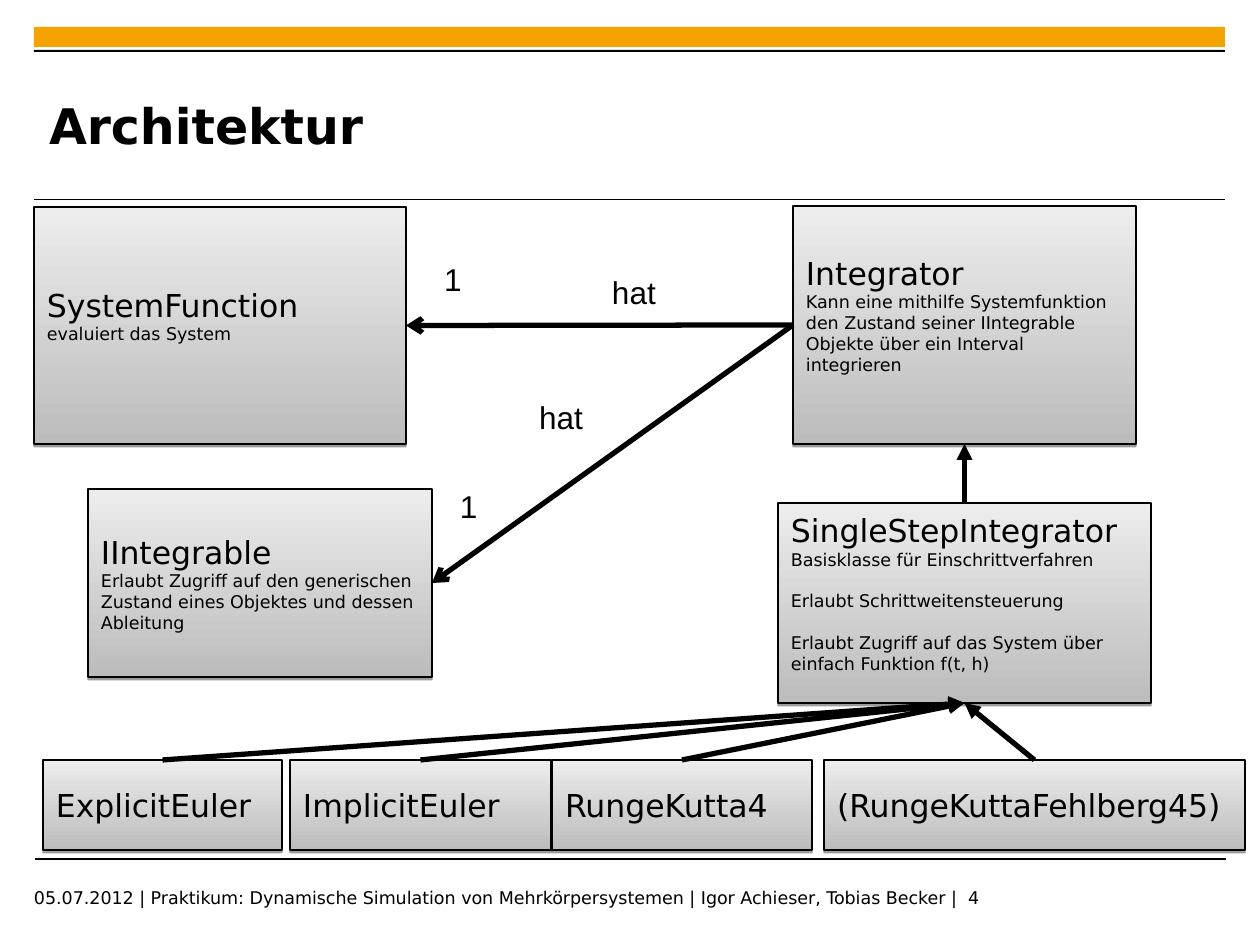
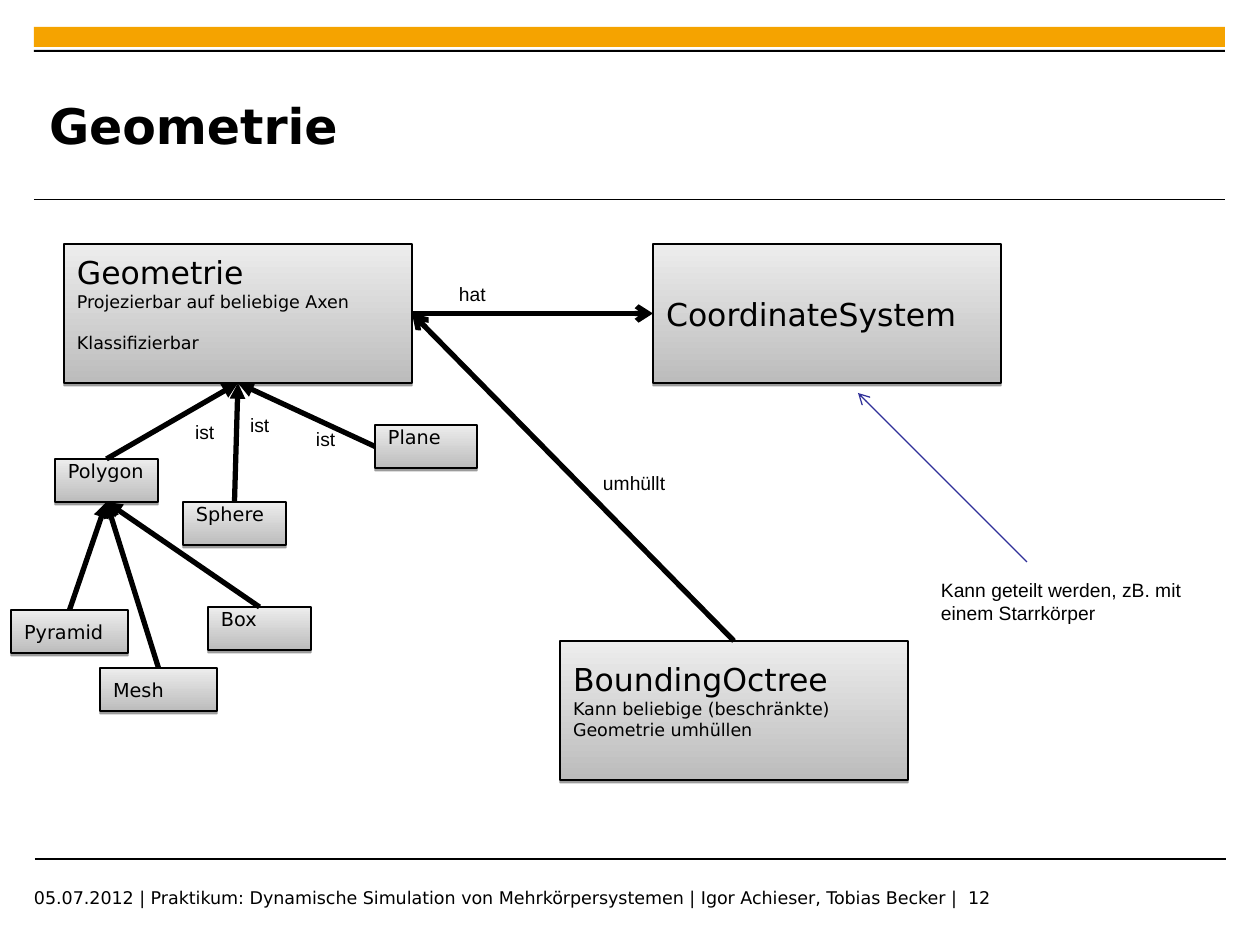
import lxml.etree
import pptx
import pptx.dml.color
import pptx.enum.shapes
import pptx.enum.text
import pptx.oxml
import pptx.oxml.ns
import pptx.util

SCALE = 914400 / 126
TOP, LEFT, BOTTOM, RIGHT = range(4)
ANCHOR = pptx.enum.text.MSO_ANCHOR
RECTANGLE = pptx.enum.shapes.MSO_SHAPE.RECTANGLE
STRAIGHT = pptx.enum.shapes.MSO_CONNECTOR.STRAIGHT
COLOR = pptx.dml.color.RGBColor.from_string

THEME = {
    "black": COLOR("000000"),
    "band": COLOR("F5A300"),
    "note": COLOR("2F2F98"),
    "box_bottom": COLOR("BCBCBC"),
    "box_top": COLOR("EDEDED"),
    "font": "DejaVu Sans",
    "label_font": "Arial",
    "title": 28,
    "class": 18,
    "small": 11,
    "detail": 10,
    "gap": 11.6,
    "rule": 0.6,
    "outline": 0.75,
    "arrow": 3,
}
FOOTER = ("05.07.2012 | Praktikum: Dynamische Simulation von Mehrkörpersystemen"
          " | Igor Achieser, Tobias Becker |  ")
SHADOW = (
    '<a:outerShdw %s blurRad="0" dist="20000" dir="5400000" rotWithShape="0">'
    '<a:srgbClr val="000000"><a:alpha val="38000"/></a:srgbClr></a:outerShdw>'
    % pptx.oxml.ns.nsdecls("a")
)
EMPTY_LINE = 21
BANDS = [((34, 27, 1191, 20), "band"), ((34, 50, 1191, 2), "black")]
RULES = [(34, 200, 1225, 200), (35, 859, 1226, 859)]

SLIDES = [
    {
        "title": "Architektur",
        "number": 4,
        "boxes": [
            ("SystemFunction", (34, 207, 372, 237), "class", ["evaluiert das System"], EMPTY_LINE),
            ("Integrator", (793, 206, 343, 238), "class",
             ["Kann eine mithilfe Systemfunktion den Zustand seiner IIntegrable "
              "Objekte über ein Interval integrieren"], EMPTY_LINE),
            ("SingleStepIntegrator", (778, 503, 373, 200), "class",
             ["Basisklasse für Einschrittverfahren", "Erlaubt Schrittweitensteuerung",
              "Erlaubt Zugriff auf das System über einfach Funktion f(t, h)"], EMPTY_LINE),
            ("ExplicitEuler", (43, 760, 239, 90), "class", [], 0),
            ("ImplicitEuler", (290, 760, 261, 90), "class", [], 0),
            ("RungeKutta4", (552, 760, 260, 90), "class", [], 0),
            ("(RungeKuttaFehlberg45)", (824, 760, 421, 90), "class", [], 0),
            ("IIntegrable", (88, 489, 344, 188), "class",
             ["Erlaubt Zugriff auf den generischen Zustand eines Objektes und dessen Ableitung"], 0),
        ],
        "arrows": [
            ("Integrator", LEFT, "SystemFunction", RIGHT, "arrow"),
            ("Integrator", LEFT, "IIntegrable", RIGHT, "arrow"),
            ("SingleStepIntegrator", TOP, "Integrator", BOTTOM, "triangle"),
            ("(RungeKuttaFehlberg45)", TOP, "SingleStepIntegrator", BOTTOM, "triangle"),
            ("RungeKutta4", TOP, "SingleStepIntegrator", BOTTOM, "triangle"),
            ("ImplicitEuler", TOP, "SingleStepIntegrator", BOTTOM, "triangle"),
            ("ExplicitEuler", TOP, "SingleStepIntegrator", BOTTOM, "triangle"),
        ],
        "note_arrows": [],
        "labels": [
            (["hat"], (600, 267, 69, 50), "class"),
            (["hat"], (527, 392, 69, 50), "class"),
            (["1"], (448, 481, 43, 50), "class"),
            (["1"], (432, 254, 43, 50), "class"),
        ],
    },
    {
        "title": "Geometrie",
        "number": 12,
        "boxes": [
            ("Geometrie", (64, 244, 348, 139), "class",
             ["Projezierbar auf beliebige Axen", "Klassifizierbar"], EMPTY_LINE),
            ("CoordinateSystem", (653, 244, 348, 139), "class", [], 0),
            ("BoundingOctree", (560, 641, 348, 139), "class",
             ["Kann beliebige (beschränkte) Geometrie umhüllen"], EMPTY_LINE),
            ("Box", (208, 607, 103, 43), "small", [], EMPTY_LINE),
            ("Sphere", (183, 502, 103, 43), "small", [], EMPTY_LINE),
            ("Polygon", (55, 459, 103, 43), "small", [], EMPTY_LINE),
            ("Plane", (375, 425, 102, 43), "small", [], EMPTY_LINE),
            ("Pyramid", (11, 610, 117, 43), "small", [], 0),
            ("Mesh", (100, 668, 117, 43), "small", [], 0),
        ],
        "arrows": [
            ("Geometrie", RIGHT, "CoordinateSystem", LEFT, "arrow"),
            ("BoundingOctree", TOP, "Geometrie", RIGHT, "arrow"),
            ("Polygon", TOP, "Geometrie", BOTTOM, "triangle"),
            ("Sphere", TOP, "Geometrie", BOTTOM, "triangle"),
            ("Plane", LEFT, "Geometrie", BOTTOM, "triangle"),
            ("Box", TOP, "Polygon", BOTTOM, "triangle"),
            ("Pyramid", TOP, "Polygon", BOTTOM, "triangle"),
            ("Mesh", TOP, "Polygon", BOTTOM, "triangle"),
        ],
        "note_arrows": [(1027, 562, 858, 393)],
        "labels": [
            (["hat"], (447, 276, 52, 37), "small"),
            (["ist"], (238, 407, 44, 37), "small"),
            (["ist"], (183, 414, 44, 37), "small"),
            (["ist"], (304, 421, 44, 37), "small"),
            (["umhüllt"], (591, 465, 87, 37), "small"),
            (["Kann geteilt werden, zB. mit", "einem Starrkörper"],
             (929, 572, 266, 59), "small"),
        ],
    },
]


def write_text(shape, lines, font_name, anchor, insets=(0, 0, 0, 0), bold=False):
    frame = shape.text_frame
    sides = ("margin_left", "margin_top", "margin_right", "margin_bottom")
    frame_format = {side: int(inset * SCALE) for side, inset in zip(sides, insets)}
    frame_format["auto_size"] = pptx.enum.text.MSO_AUTO_SIZE.NONE
    frame_format["vertical_anchor"] = anchor
    frame_format["word_wrap"] = True
    for name, value in frame_format.items():
        setattr(frame, name, value)
    for index, (text, size, gap) in enumerate(lines):
        paragraph = frame.paragraphs[0] if index == 0 else frame.add_paragraph()
        paragraph.text = text
        paragraph.alignment = pptx.enum.text.PP_ALIGN.LEFT
        paragraph.space_before = pptx.util.Pt(gap)
        paragraph.font.color.rgb = THEME["black"]
        font_format = {"name": font_name, "size": pptx.util.Pt(THEME[size]), "bold": bold}
        for name, value in font_format.items():
            setattr(paragraph.font, name, value)


def draw_line(slide, ends, color, width, head=None):
    line = slide.shapes.add_connector(STRAIGHT, *[int(end * SCALE) for end in ends])
    line.line.color.rgb = THEME[color]
    line.line.width = pptx.util.Pt(THEME[width])
    properties = line._element.spPr
    if head:
        outline = line.line._get_or_add_ln()
        lxml.etree.SubElement(outline, pptx.oxml.ns.qn("a:tailEnd"), type=head)
    lxml.etree.SubElement(properties, pptx.oxml.ns.qn("a:effectLst"))
    return line


presentation = pptx.Presentation()
presentation.slide_width = int(1260 * SCALE)
presentation.slide_height = int(945 * SCALE)

for content in SLIDES:
    slide = presentation.slides.add_slide(presentation.slide_layouts[5])

    for place, color in BANDS:
        band = slide.shapes.add_shape(RECTANGLE, *[int(length * SCALE) for length in place])
        band.shadow.inherit = False
        band.fill.solid()
        band.fill.fore_color.rgb = THEME[color]
        band.line.fill.background()
    for ends in RULES:
        draw_line(slide, ends, "black", "rule")

    title = slide.shapes.title
    title_place = {"left": 49, "top": 67, "width": 948, "height": 116}
    for name, value in title_place.items():
        setattr(title, name, int(value * SCALE))
    write_text(title, [(content["title"], "title", 0)], THEME["font"], ANCHOR.MIDDLE, bold=True)

    footer = slide.shapes.add_textbox(*[int(length * SCALE) for length in (34, 887, 992, 32)])
    write_text(footer, [(FOOTER + str(content["number"]), "detail", 0)],
               THEME["font"], ANCHOR.TOP)

    boxes = {}
    for name, place, size, details, space_below in content["boxes"]:
        box = slide.shapes.add_shape(RECTANGLE, *[int(length * SCALE) for length in place])
        boxes[name] = box
        box.shadow.inherit = False
        effects = box._element.spPr.find(pptx.oxml.ns.qn("a:effectLst"))
        effects.append(pptx.oxml.parse_xml(SHADOW))
        box.fill.gradient()
        box.fill.gradient_angle = 90
        for stop, color in zip(box.fill.gradient_stops, ("box_bottom", "box_top")):
            stop.color.rgb = THEME[color]
        box.line.color.rgb = THEME["black"]
        box.line.width = pptx.util.Pt(THEME["outline"])
        lines = [(name, size, 0)]
        lines += [(text, "detail", THEME["gap"] if index else 0)
                  for index, text in enumerate(details)]
        at_top = size == "small" and space_below > 0
        anchor = ANCHOR.TOP if at_top else ANCHOR.MIDDLE
        insets = (13, 0, 13, 0) if at_top else (13, 6, 13, 6 + space_below)
        write_text(box, lines, THEME["font"], anchor, insets)

    for start, start_site, target, target_site, head in content["arrows"]:
        arrow = draw_line(slide, (0, 0, 0, 0), "black", "arrow", head)
        arrow.begin_connect(boxes[start], start_site)
        arrow.end_connect(boxes[target], target_site)
    for ends in content["note_arrows"]:
        draw_line(slide, ends, "note", "outline", "arrow")

    for texts, place, size in content["labels"]:
        label = slide.shapes.add_textbox(*[int(length * SCALE) for length in place])
        write_text(label, [(text, size, 0) for text in texts],
                   THEME["label_font"], ANCHOR.TOP, (12, 6, 0, 6))

presentation.save("out.pptx")
